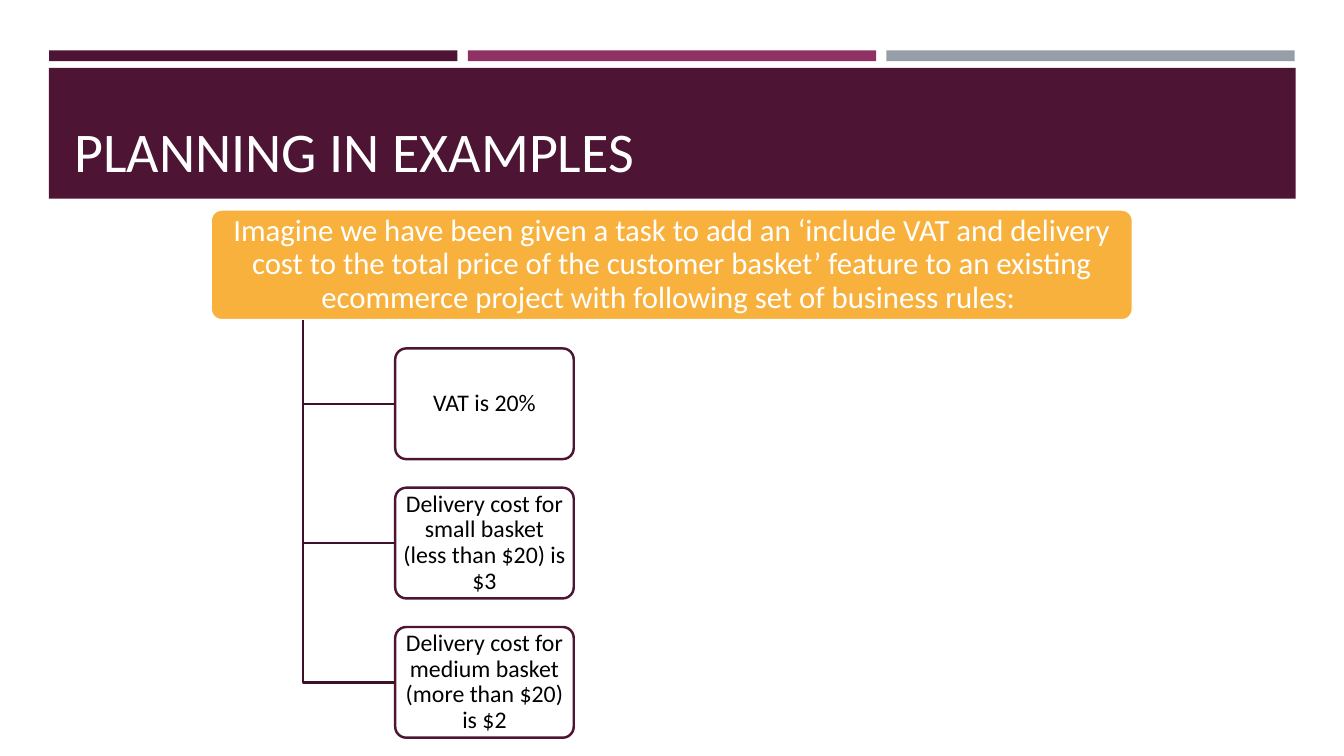
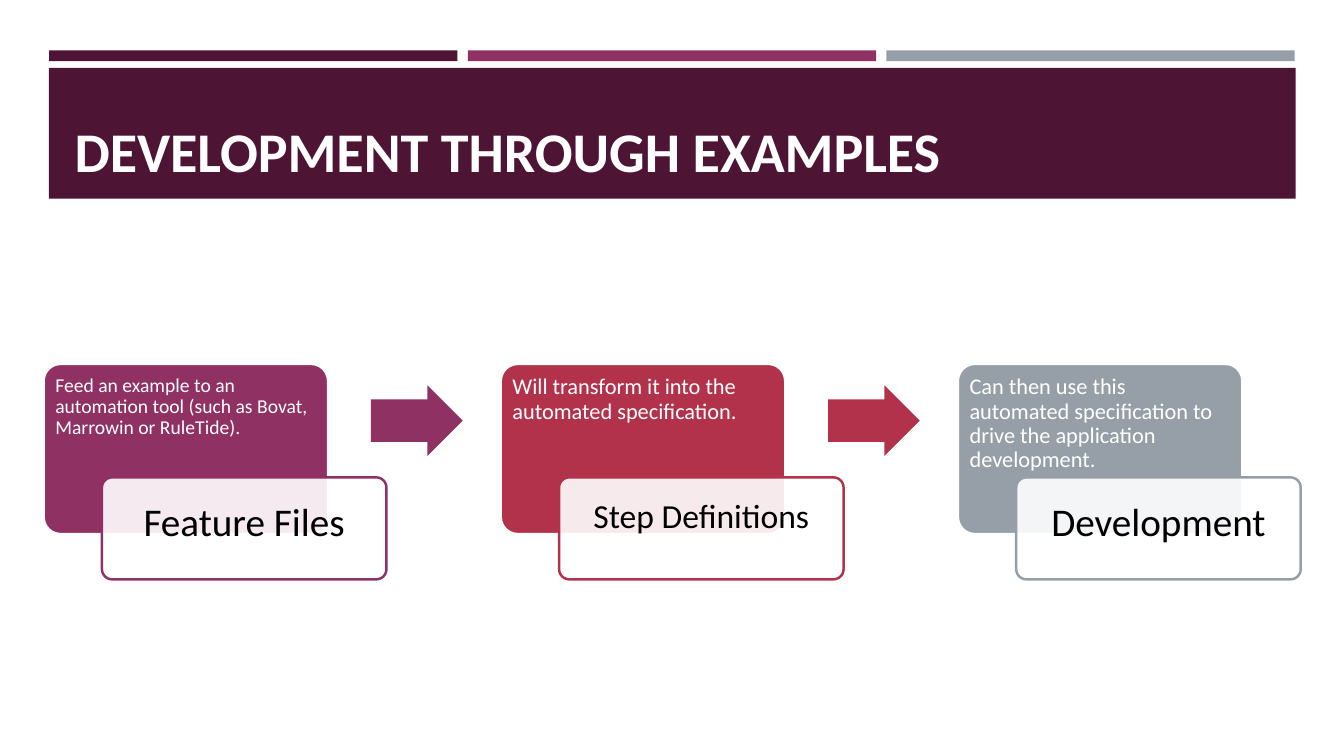
"""Build two slides on planning and development with examples."""
from dataclasses import dataclass

from lxml.etree import SubElement
from pptx import Presentation
from pptx.dml.color import RGBColor
from pptx.enum.shapes import MSO_SHAPE
from pptx.enum.text import MSO_ANCHOR, PP_ALIGN
from pptx.oxml.ns import qn
from pptx.shapes.autoshape import Shape
from pptx.slide import Slide
from pptx.text.text import TextFrame
from pptx.util import Cm, Pt

FONT = "Calibri"
WHITE = RGBColor(0xFF, 0xFF, 0xFF)
BLACK = RGBColor(0x00, 0x00, 0x00)
PLUM = RGBColor(0x4D, 0x14, 0x34)
DARK_PLUM = RGBColor(0x3E, 0x10, 0x2A)
MAGENTA = RGBColor(0x90, 0x31, 0x63)
RED = RGBColor(0xB2, 0x32, 0x4B)
GREY = RGBColor(0x96, 0x9F, 0xA7)
AMBER = RGBColor(0xF8, 0xB1, 0x3C)
LINE_WIDTH = Pt(1.75)


@dataclass(frozen=True)
class Box:
    """Position and size in centimetres."""

    left: float
    top: float
    width: float
    height: float

    @property
    def bottom(self) -> float:
        """Return the lower edge."""
        return self.top + self.height

    @property
    def middle(self) -> float:
        """Return the vertical centre."""
        return self.top + self.height / 2

    def shifted(self, dx: float = 0, dy: float = 0) -> "Box":
        """Return the same box moved by an offset."""
        return Box(self.left + dx, self.top + dy, self.width, self.height)

    def emu(self) -> tuple[Cm, Cm, Cm, Cm]:
        """Return the box as lengths for python-pptx."""
        return Cm(self.left), Cm(self.top), Cm(self.width), Cm(self.height)


@dataclass(frozen=True)
class TextStyle:
    """Look of a text; insets are in centimetres."""

    size: float
    color: RGBColor = WHITE
    bold: bool = False
    align: PP_ALIGN = PP_ALIGN.CENTER
    anchor: MSO_ANCHOR = MSO_ANCHOR.MIDDLE
    inset_x: float = 0.25
    inset_y: float = 0.13
    spacing: float = 0.9


@dataclass(frozen=True)
class Step:
    """One stage of the development process."""

    name: str
    detail: str
    color: RGBColor
    name_size: float
    detail_size: float
    name_inset: float


BAR = Box(1.24, 1.27, 10.29, 0.27)
BAR_PITCH = 10.55
BAND = Box(1.23, 1.71, 31.42, 3.3)
TITLE = Box(1.63, 1.96, 30.63, 2.82)

TASK = Box(5.31, 5.28, 23.24, 2.79)
TASK_TEXT = (
    "Imagine we have been given a task to add an ‘include VAT and delivery cost "
    "to the total price of the customer basket’ feature to an existing ecommerce "
    "project with following set of business rules:\u00a0"
)
RULE = Box(9.96, 8.78, 4.5, 2.79)
RULE_PITCH = 3.51
TRUNK_X = 7.64
RULES = (
    "VAT is 20%",
    "Delivery cost for small basket (less than $20) is $3",
    "Delivery cost for medium basket (more than $20) is $2",
)

PANEL = Box(1.1, 9.17, 7.17, 4.29)
LABEL = Box(2.57, 12.03, 7.17, 2.57)
ARROW = Box(9.35, 9.71, 2.31, 1.78)
STEP_PITCH = 11.52
STEPS = (
    Step("Feature Files",
         "Feed an example to an automation tool (such as Bovat, Marrowin or RuleTide).",
         MAGENTA, 28, 14, 0.56),
    Step("Step Definitions",
         "Will transform it into the automated specification.",
         RED, 24, 16, 0.48),
    Step("Development",
         "Can then use this automated specification to drive the application development.",
         GREY, 28, 16, 0.56),
)


def write(tf: TextFrame, text: str, style: TextStyle) -> None:
    """Fill a text frame with one styled paragraph."""
    tf.word_wrap = True
    tf.vertical_anchor = style.anchor
    tf.margin_left = tf.margin_right = Cm(style.inset_x)
    tf.margin_top = tf.margin_bottom = Cm(style.inset_y)
    p = tf.paragraphs[0]
    p.text = text
    p.alignment = style.align
    p.line_spacing = style.spacing
    p.font.name = FONT
    p.font.size = Pt(style.size)
    p.font.bold = style.bold
    p.font.color.rgb = style.color


def add_filled(s: Slide, kind: MSO_SHAPE, box: Box, fill: RGBColor) -> Shape:
    """Add a flat preset shape without an outline."""
    sp = s.shapes.add_shape(kind, *box.emu())
    sp.shadow.inherit = False
    sp.fill.solid()
    sp.fill.fore_color.rgb = fill
    sp.line.fill.background()
    return sp


def add_card(s: Slide, box: Box, fill: RGBColor, line: RGBColor,
             text: str, style: TextStyle) -> Shape:
    """Add a rounded, outlined box with text."""
    sp = add_filled(s, MSO_SHAPE.ROUNDED_RECTANGLE, box, fill)
    sp.adjustments[0] = 0.1
    sp.line.color.rgb = line
    sp.line.width = LINE_WIDTH
    write(sp.text_frame, text, style)
    return sp


def add_pale_card(s: Slide, box: Box, line: RGBColor, text: str, style: TextStyle) -> None:
    """Add a white card that lets a tenth of its background through."""
    sp = add_card(s, box, WHITE, line, text, style)
    color = sp.element.spPr.find(qn("a:solidFill")).find(qn("a:srgbClr"))
    SubElement(color, qn("a:alpha")).set("val", "90000")


def add_branch(s: Slide, x: float, top: float, end_x: float, end_y: float) -> None:
    """Draw an elbow going down and then right."""
    builder = s.shapes.build_freeform(Cm(x), Cm(top))
    builder.add_line_segments([(Cm(x), Cm(end_y)), (Cm(end_x), Cm(end_y))], close=False)
    sp = builder.convert_to_shape()
    sp.shadow.inherit = False
    sp.fill.background()
    sp.line.color.rgb = DARK_PLUM
    sp.line.width = LINE_WIDTH


def add_titled_slide(prs: Presentation, title: str, bold: bool = False) -> Slide:
    """Add a blank slide with the shared bars, band and title."""
    s = prs.slides.add_slide(prs.slide_layouts[6])
    for i, color in enumerate((PLUM, MAGENTA, GREY)):
        add_filled(s, MSO_SHAPE.RECTANGLE, BAR.shifted(i * BAR_PITCH), color)
    add_filled(s, MSO_SHAPE.RECTANGLE, BAND, PLUM)
    style = TextStyle(40, bold=bold, align=PP_ALIGN.LEFT, anchor=MSO_ANCHOR.BOTTOM)
    write(s.shapes.add_textbox(*TITLE.emu()).text_frame, title, style)
    return s


def build_planning(prs: Presentation) -> None:
    """Build the tree of business rules."""
    s = add_titled_slide(prs, "PLANNING IN EXAMPLES")
    add_card(s, TASK, AMBER, WHITE, TASK_TEXT, TextStyle(22, inset_x=0.13, inset_y=0.08))
    style = TextStyle(17, BLACK, inset_x=0.1, inset_y=0.05)
    for i, rule in enumerate(RULES):
        box = RULE.shifted(dy=i * RULE_PITCH)
        add_branch(s, TRUNK_X, TASK.bottom, box.left, box.middle)
        add_pale_card(s, box, PLUM, rule, style)


def build_development(prs: Presentation) -> None:
    """Build the row of process steps."""
    s = add_titled_slide(prs, "DEVELOPMENT THROUGH EXAMPLES", bold=True)
    for i, step in enumerate(STEPS):
        dx = i * STEP_PITCH
        detail_style = TextStyle(step.detail_size, align=PP_ALIGN.LEFT,
                                 anchor=MSO_ANCHOR.TOP, inset_x=0.17, inset_y=0.17)
        name_style = TextStyle(step.name_size, BLACK, anchor=MSO_ANCHOR.TOP,
                               inset_x=step.name_inset, inset_y=step.name_inset)
        add_card(s, PANEL.shifted(dx), step.color, WHITE, step.detail, detail_style)
        add_pale_card(s, LABEL.shifted(dx), step.color, step.name, name_style)
        if i < len(STEPS) - 1:
            arrow = add_filled(s, MSO_SHAPE.RIGHT_ARROW, ARROW.shifted(dx), step.color)
            arrow.adjustments[0] = 0.6


def main() -> None:
    """Create and save the presentation."""
    prs = Presentation()
    prs.slide_width, prs.slide_height = Cm(33.87), Cm(19.05)
    build_planning(prs)
    build_development(prs)
    prs.save("out.pptx")


main()
